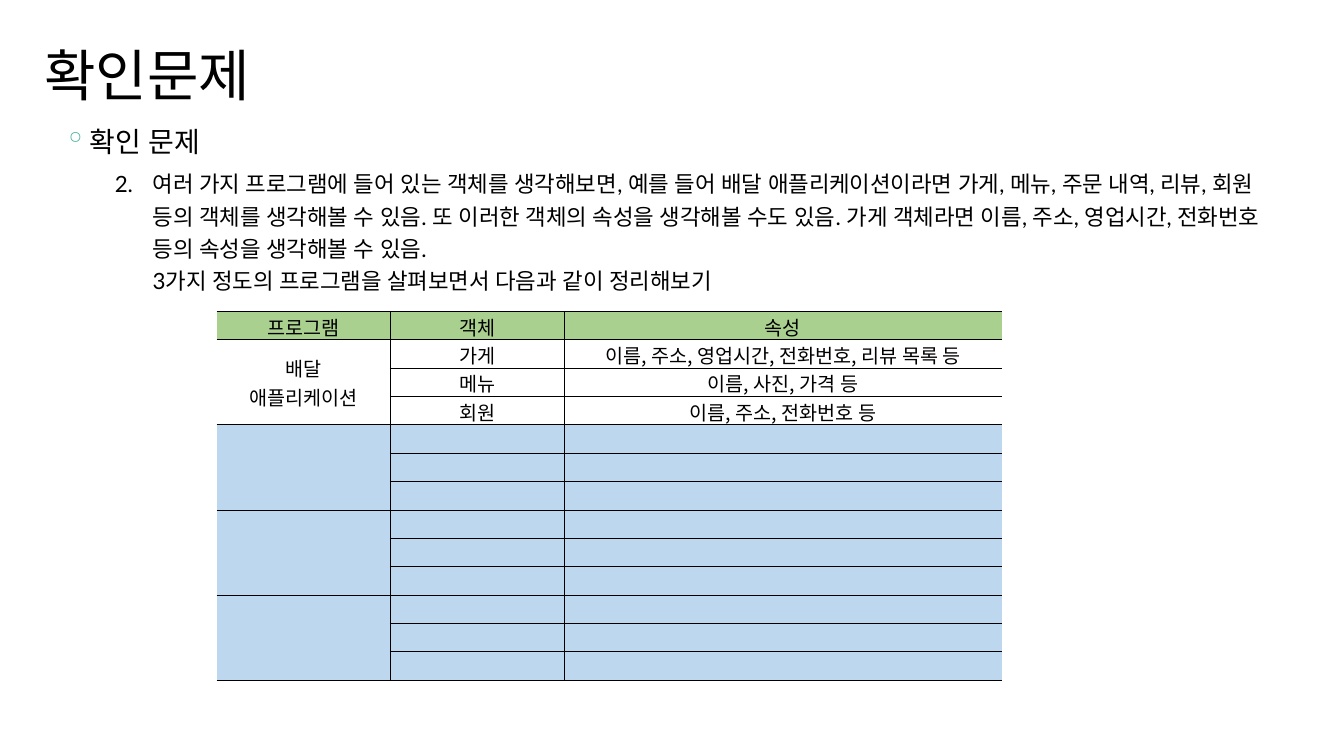
from copy import deepcopy

from lxml.etree import SubElement
from pptx import Presentation
from pptx.dml.color import RGBColor
from pptx.enum.text import MSO_ANCHOR, MSO_AUTO_SIZE, PP_ALIGN
from pptx.oxml import parse_xml
from pptx.oxml.ns import nsdecls, qn
from pptx.util import Pt

COLORS = {"ink": "000000", "bullet": "4BB0A0", "header": "A9D08E", "blank": "BDD7EE"}
HEADING_FONT = "Noto Sans CJK KR"
BODY_FONT = "Lato"
NO_STYLE = "{2D5ABB26-0587-4C30-8999-92F81FD0307C}"

BULLET = (f'<a:buClr {nsdecls("a")}><a:srgbClr val="{COLORS["bullet"]}"/></a:buClr>',
          f'<a:buChar {nsdecls("a")} char="◦"/>')
NUMBER = (f'<a:buAutoNum {nsdecls("a")} type="arabicPeriod" startAt="2"/>',)

QUESTION = (
    "여러 가지 프로그램에 들어 있는 객체를 생각해보면, 예를 들어 배달 애플리케이션이라면 "
    "가게, 메뉴, 주문 내역, 리뷰, 회원 등의 객체를 생각해볼 수 있음. 또 이러한 객체의 속성을 "
    "생각해볼 수도 있음. 가게 객체라면 이름, 주소, 영업시간, 전화번호 등의 속성을 생각해볼 수 있음. \n"
    "3가지 정도의 프로그램을 살펴보면서 다음과 같이 정리해보기"
)
ANSWER_ROWS = [
    ("프로그램", "객체", "속성"),
    ("배달\n애플리케이션", "가게", "이름, 주소, 영업시간, 전화번호, 리뷰 목록 등"),
    ("", "메뉴", "이름, 사진, 가격 등"),
    ("", "회원", "이름, 주소, 전화번호 등"),
]
OBJECTS_PER_PROGRAM = 3
PROGRAMS = 4


def assign(target, values):
    for name, value in values.items():
        setattr(target, name, value)


def write(para, text, size, font_name):
    """Put text in a paragraph, giving runs and line breaks the same format."""
    para.text = text
    for span in para.runs:
        assign(span.font, {"size": Pt(size), "name": font_name})
        span.font.color.rgb = RGBColor.from_string(COLORS["ink"])
        SubElement(span.font._element, qn("a:ea"), typeface=font_name)
    for line_break in para._p.findall(qn("a:br")):
        line_break.insert(0, deepcopy(para.runs[0].font._element))


def add_title(page, left, top, width, height):
    title = page.shapes.title
    assign(title, {"left": Pt(left), "top": Pt(top), "width": Pt(width), "height": Pt(height)})
    assign(title.text_frame, {"word_wrap": True, "vertical_anchor": MSO_ANCHOR.MIDDLE,
                              "auto_size": MSO_AUTO_SIZE.SHAPE_TO_FIT_TEXT})
    para = title.text_frame.paragraphs[0]
    para.alignment = PP_ALIGN.LEFT
    write(para, "확인문제", 40, HEADING_FONT)


def add_question(page, left, top, width, height):
    frame = page.shapes.add_textbox(Pt(left), Pt(top), Pt(width), Pt(height)).text_frame
    frame.word_wrap = True
    items = [
        ("확인 문제", 20, 0, 18, 18, 0, BULLET),
        (QUESTION, 16, 1, 63, 27, 5, NUMBER),
    ]
    for index, (text, size, level, margin, hanging, before, marks) in enumerate(items):
        para = frame.add_paragraph() if index else frame.paragraphs[0]
        assign(para, {"level": level, "line_spacing": 1.2, "space_before": Pt(before)})
        properties = para._p.get_or_add_pPr()
        properties.set("marL", str(Pt(margin)))
        properties.set("indent", str(-Pt(hanging)))
        for mark in marks:
            properties.append(parse_xml(mark))
        write(para, text, size, BODY_FONT)


def draw_borders(cell, sides):
    properties = cell._tc.get_or_add_tcPr()
    for position, side in enumerate(sides):
        properties.insert(position, parse_xml(
            f'<a:ln{side} {nsdecls("a")} w="{Pt(0.5)}"><a:solidFill>'
            f'<a:srgbClr val="{COLORS["ink"]}"/></a:solidFill></a:ln{side}>'))


def fill_cell(cell, text, color):
    assign(cell, {"vertical_anchor": MSO_ANCHOR.MIDDLE, "margin_left": Pt(0.7),
                  "margin_right": Pt(0.7), "margin_top": Pt(0.7), "margin_bottom": 0})
    if color:
        cell.fill.solid()
        cell.fill.fore_color.rgb = RGBColor.from_string(COLORS[color])
    else:
        cell.fill.background()
    para = cell.text_frame.paragraphs[0]
    para.alignment = PP_ALIGN.CENTER
    if text:
        write(para, text, 14, HEADING_FONT)
    else:
        SubElement(para._p, qn("a:endParaRPr"), sz="1400")


def add_answer_table(page, left, top, column_widths, row_height):
    row_count = 1 + PROGRAMS * OBJECTS_PER_PROGRAM
    frame = page.shapes.add_table(row_count, len(column_widths), Pt(left), Pt(top),
                                  Pt(sum(column_widths)), Pt(row_height * row_count))
    table = frame.table
    assign(table, {"first_row": False, "horz_banding": False})
    table._tbl.tblPr.find(qn("a:tableStyleId")).text = NO_STYLE
    for column, width in zip(table.columns, column_widths):
        column.width = Pt(width)
    for row in table.rows:
        row.height = Pt(row_height)
    for first in range(1, row_count, OBJECTS_PER_PROGRAM):
        table.cell(first, 0).merge(table.cell(first + OBJECTS_PER_PROGRAM - 1, 0))

    blank_row = ("",) * len(column_widths)
    rows = ANSWER_ROWS + [blank_row] * (row_count - len(ANSWER_ROWS))
    column_sides = ("RTB", "LRTB", "LTB")
    for row_index, texts in enumerate(rows):
        color = "header" if row_index == 0 else None
        if row_index >= len(ANSWER_ROWS):
            color = "blank"
        for column_index, text in enumerate(texts):
            cell = table.cell(row_index, column_index)
            fill_cell(cell, text, color)
            if not cell.is_spanned:
                draw_borders(cell, column_sides[column_index])


def main():
    deck = Presentation()
    assign(deck, {"slide_width": Pt(960), "slide_height": Pt(540)})
    page = deck.slides.add_slide(deck.slide_layouts[5])
    add_title(page, 24.5, 25.2, 480, 55.4)
    add_question(page, 38.9, 80.6, 896.4, 453.6)
    add_answer_table(page, 154.8, 222.3, (124, 124, 313), 20.27)
    deck.save("out.pptx")


if __name__ == "__main__":
    main()
